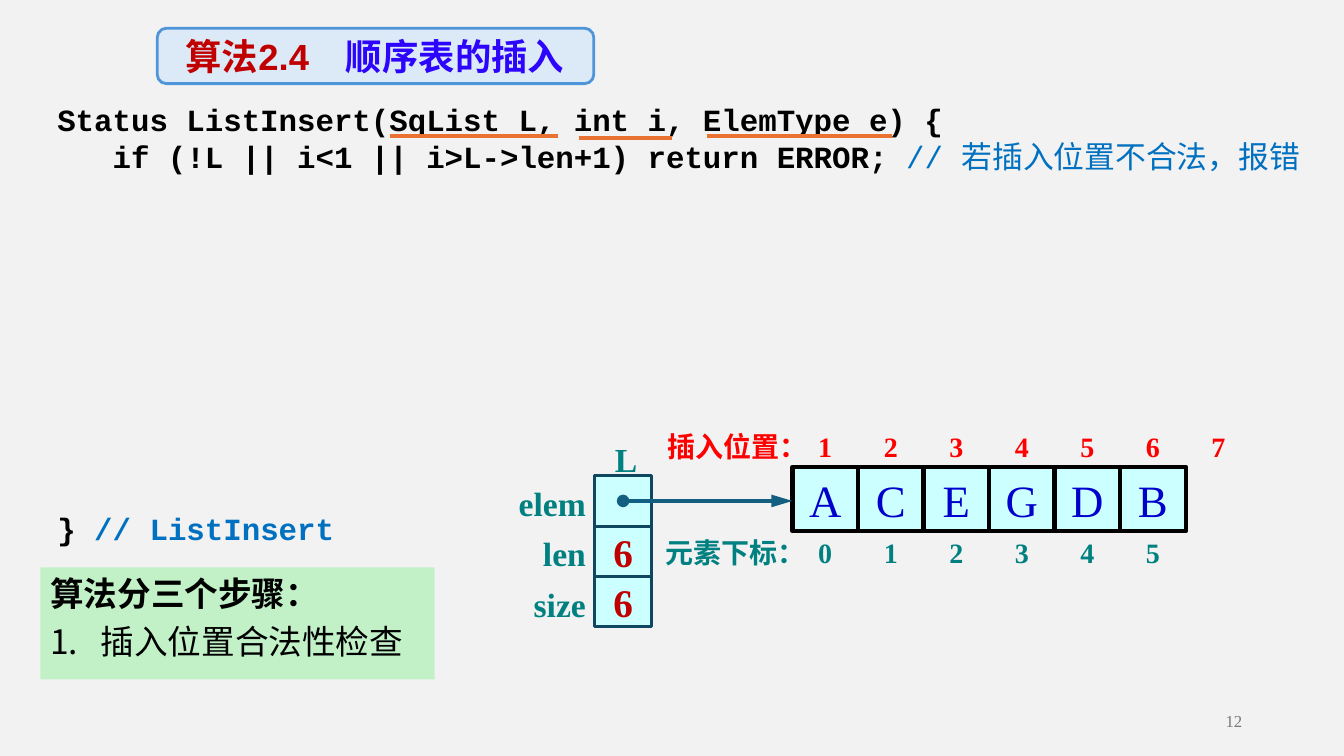
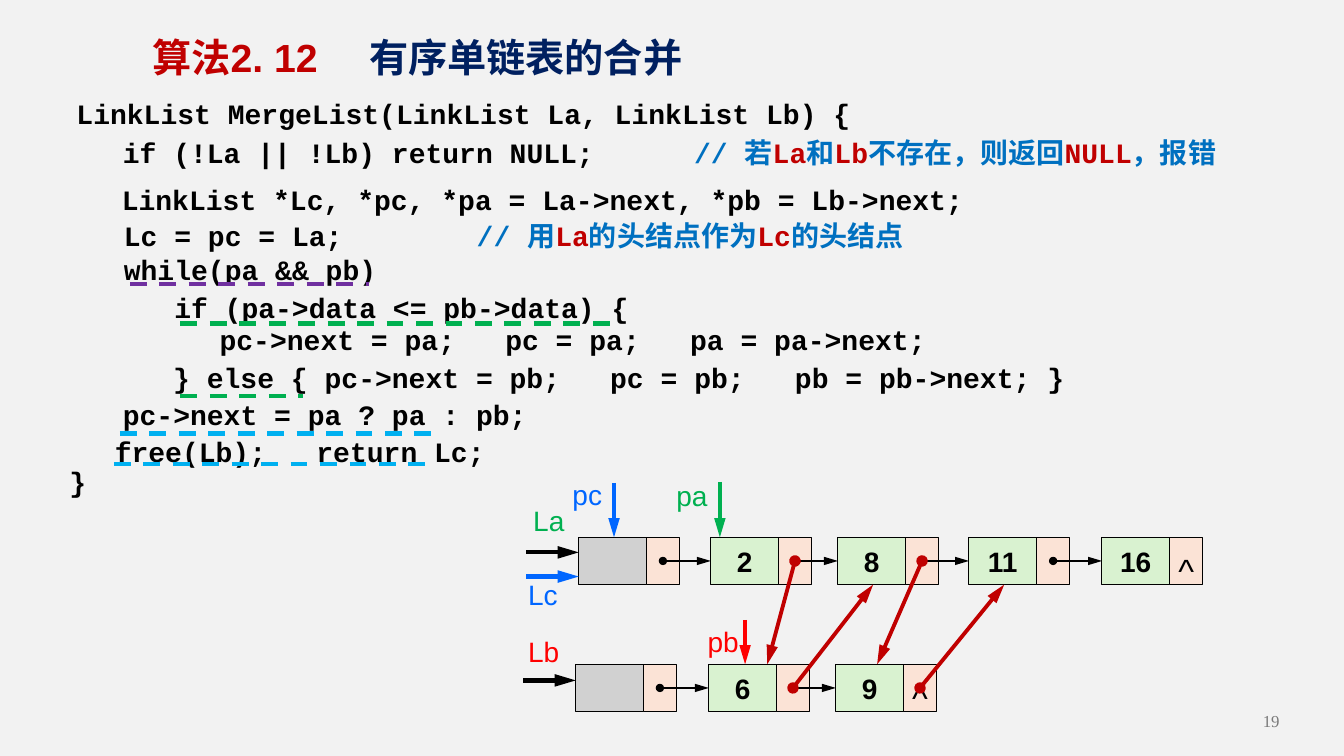
from dataclasses import dataclass

import pptx
import pptx.dml.color
import pptx.enum.dml
import pptx.enum.shapes
import pptx.enum.text
import pptx.oxml.ns
import pptx.util
from lxml import etree

ALIGN = pptx.enum.text.PP_ALIGN
ANCHOR = pptx.enum.text.MSO_ANCHOR
SHAPE = pptx.enum.shapes.MSO_SHAPE

# The grid: square cells of a tenth of an inch
COLS, ROWS = 133.3, 75
CHAR_WIDTH = 0.6  # Courier New advance, as a share of the type size


@dataclass(frozen=True)
class Theme:
    background: str = "F2F2F2"
    black: str = "000000"
    red: str = "C00000"
    bright_red: str = "FF0000"
    green: str = "00B050"
    blue: str = "0066FF"
    sky: str = "00B0F0"
    purple: str = "7030A0"
    orange: str = "E97132"
    comment: str = "0070C0"
    teal: str = "008080"
    navy: str = "002060"
    violet: str = "2D04FC"
    page: str = "797979"
    element: str = "0000CC"
    cyan_fill: str = "CCFFFF"
    struct_line: str = "104760"
    struct_arrow: str = "125F82"
    banner_fill: str = "DCEAF7"
    banner_line: str = "4E95D9"
    steps_fill: str = "C2F1C8"
    data_fill: str = "D9F2D0"
    next_fill: str = "FBE3D6"
    head_fill: str = "D1D1D1"
    sans: str = "Arial"
    serif: str = "Times New Roman"
    mono: str = "Courier New"
    tiny: int = 12
    body: int = 20
    code: int = 22
    label: int = 24
    count: int = 28
    letter: int = 32


T = Theme()


def unit(cells):
    return pptx.util.Inches(cells / 10)


def rgb(colour):
    return pptx.dml.color.RGBColor.from_string(colour)


def add_xml(parent, tag, **attributes):
    return etree.SubElement(parent, pptx.oxml.ns.qn(tag), attributes)


# Text
def write(frame, *paragraphs, size=T.body, color=T.black, font=T.sans, bold=False,
          align=ALIGN.LEFT, anchor=ANCHOR.TOP, inset=(1, 0.5), gap=0, stops=()):
    """Each paragraph is a string or a list of (text, run overrides)."""
    frame.word_wrap = True
    frame.auto_size = pptx.enum.text.MSO_AUTO_SIZE.NONE
    frame.vertical_anchor = anchor
    frame.margin_left = frame.margin_right = unit(inset[0])
    frame.margin_top = frame.margin_bottom = unit(inset[1])
    for index, content in enumerate(paragraphs):
        paragraph = frame.add_paragraph() if index else frame.paragraphs[0]
        paragraph.alignment = align
        paragraph.space_before = pptx.util.Pt(gap if index else 0)
        if stops:
            tabs = add_xml(paragraph._p.get_or_add_pPr(), "a:tabLst")
            for stop in stops:
                add_xml(tabs, "a:tab", pos=str(unit(stop)), algn="l")
        runs = [(content, {})] if isinstance(content, str) else content
        for words, change in runs:
            run = paragraph.add_run()
            run.text = words
            run.font.size = pptx.util.Pt(size)
            run.font.name = font
            run.font.bold = change.get("bold", bold)
            run.font.color.rgb = rgb(change.get("color", color))


def text(slide, left, top, width, height, *paragraphs, **style):
    box = slide.shapes.add_textbox(*map(unit, (left, top, width, height)))
    write(box.text_frame, *paragraphs, **style)


def code(slide, left, top, *runs, size=T.body, gap=3):
    """One line of code; each tab leaves a gap of that many characters."""
    runs = [(run, {}) if isinstance(run, str) else run for run in runs]
    stops, column = [], 0
    for part in "".join(words for words, _ in runs).split("\t")[:-1]:
        column += len(part) + gap
        stops.append(column * CHAR_WIDTH * size / 7.2)
    text(slide, left, top, COLS - left - 1.5, 4.4, runs, size=size,
         font=T.mono, bold=True, stops=stops)


# Shapes and lines
def block(slide, left, top, width, height, fill, line=None, weight=0.75,
          words=(), kind=SHAPE.RECTANGLE, **style):
    shape = slide.shapes.add_shape(kind, *map(unit, (left, top, width, height)))
    shape.shadow.inherit = False
    shape.fill.solid()
    shape.fill.fore_color.rgb = rgb(fill)
    if line:
        shape.line.color.rgb = rgb(line)
        shape.line.width = pptx.util.Pt(weight)
    else:
        shape.line.fill.background()
    if words:
        write(shape.text_frame, *words, **style)
    return shape


def line(slide, start, end, color, weight=3, dash=False, dot=False, arrow=False):
    link = slide.shapes.add_connector(pptx.enum.shapes.MSO_CONNECTOR.STRAIGHT,
                                      *map(unit, (*start, *end)))
    link.line.color.rgb = rgb(color)
    link.line.width = pptx.util.Pt(weight)
    if dash:
        link.line.dash_style = pptx.enum.dml.MSO_LINE.DASH
    outline = link.line._get_or_add_ln()
    if dot:
        add_xml(outline, "a:headEnd", type="oval")
    if arrow:
        add_xml(outline, "a:tailEnd", type="triangle", w="med", len="lg")
    add_xml(link._element.spPr, "a:effectLst")


# Parts the slides share
def new_slide(deck):
    return deck.slides.add_slide(deck.slide_layouts.get_by_name("Title Only"))


def title(slide, left, top, width, height, number, topic, topic_color, size, stop):
    holder = slide.shapes.title
    holder.left, holder.top, holder.width, holder.height = map(
        unit, (left, top, width, height))
    write(holder.text_frame, [(number + "\t", {}), (topic, {"color": topic_color})],
          size=size, color=T.red, bold=True, anchor=ANCHOR.MIDDLE, stops=[stop])


def page_number(slide, right, number):
    text(slide, right - 30, 69.5, 30, 4, number, size=T.tiny, color=T.page,
         font=T.serif, align=ALIGN.RIGHT, anchor=ANCHOR.MIDDLE)


# Sequential list
def sequential_list(slide):
    left, top, pitch, height = 78.6, 46.3, 6.5, 6.4
    for index, letter in enumerate("ACEGDB"):
        block(slide, left + index * pitch, top, pitch, height, T.cyan_fill, T.black, 3,
              [letter], size=T.letter, color=T.element, font=T.serif,
              align=ALIGN.CENTER, anchor=ANCHOR.BOTTOM, inset=(0, 0.5))

    # Positions above the cells, subscripts below
    for caption, start, digits, row, color in (
            ("插入位置：", 65.2, "1234567", 42.1, T.bright_red),
            ("元素下标：", 65, "012345", 52.6, T.teal)):
        style = dict(color=color, font=T.serif, bold=True, anchor=ANCHOR.MIDDLE)
        text(slide, start, row, 16, 4.4, caption, **style)
        for index, digit in enumerate(digits):
            text(slide, left + index * pitch, row, pitch, 4.4, digit,
                 align=ALIGN.CENTER, **style)

    # Fields of the structure
    style = dict(size=T.label, color=T.teal, font=T.serif, bold=True,
                 align=ALIGN.RIGHT, anchor=ANCHOR.MIDDLE)
    text(slide, 59, 43, 5.2, 5, "L", **style)
    for index, (field, value) in enumerate((("elem", ""), ("len", "6"), ("size", "6"))):
        row = 47.2 + index * 5
        text(slide, 47.1, row + 0.2, 12, 5, field, **style)
        block(slide, 59, row, 5.6, 5, T.cyan_fill, T.struct_line, 2.25,
              [value] if value else (), size=T.count, color=T.red, font=T.serif,
              bold=True, align=ALIGN.CENTER, anchor=ANCHOR.MIDDLE, inset=(0, 0))
    line(slide, (61.8, 49.7), (left, 49.7), T.struct_arrow, dot=True, arrow=True)


def steps(slide):
    panel = block(slide, 4, 56.3, 39.1, 11.1, T.steps_fill, None, 0,
                  ["算法分三个步骤：", [("插入位置合法性检查", {"bold": False})]],
                  size=T.label, font=T.serif, bold=True, gap=6)
    numbered = panel.text_frame.paragraphs[1]._p.get_or_add_pPr()
    numbered.set("marL", str(unit(5)))
    numbered.set("indent", str(unit(-5)))
    add_xml(numbered, "a:buFont", typeface="+mj-lt")
    add_xml(numbered, "a:buAutoNum", type="arabicPeriod")


def insert_slide(deck):
    slide = new_slide(deck)
    page_number(slide, 124.2, "12")
    note = {"color": T.comment}
    text(slide, 4.7, 9.5, 127.1, 9,
         "Status ListInsert(SqList L, int i, ElemType e) {",
         [("   if (!L || i<1 || i>L->len+1) return ERROR; ", {}),
          ("// 若插入位置不合法，报错", {"color": T.comment, "bold": False})],
         size=T.code, font=T.mono, bold=True)
    code(slide, 4.7, 50.1, "} ", ("// ListInsert", note), size=T.code)
    sequential_list(slide)
    steps(slide)
    banner = (15.6, 2.8, 43.3, 5.5)
    block(slide, *banner, T.banner_fill, T.banner_line, 2, kind=SHAPE.ROUNDED_RECTANGLE)
    title(slide, 17.4, 2.8, 41.5, 5.5, "算法2.4", "顺序表的插入", T.violet, 26, 15.9)
    # The title lies over its banner
    slide.shapes._spTree.append(slide.shapes.title._element)
    for left, right, row in ((38.7, 55.3, 13.5), (57.4, 66.7, 13.7), (70.1, 88.5, 13.5)):
        line(slide, (left, row), (right, row), T.orange)


# Linked lists
DATA_WIDTH, NEXT_WIDTH, NODE_HEIGHT = 6.7, 3.3, 4.7


def pointer(left, top):
    """The middle of a node's next field."""
    return left + DATA_WIDTH + NEXT_WIDTH / 2, top + NODE_HEIGHT / 2


def linked_list(slide, top, lefts, values):
    middle = dict(align=ALIGN.CENTER, anchor=ANCHOR.MIDDLE)
    for left, value in zip(lefts, values):
        block(slide, left, top, DATA_WIDTH, NODE_HEIGHT,
              T.data_fill if value else T.head_fill, T.black,
              words=[value] if value else (), bold=True, **middle)
        block(slide, left + DATA_WIDTH, top, NEXT_WIDTH, NODE_HEIGHT,
              T.next_fill, T.black)
    for left, following in zip(lefts, lefts[1:]):
        x, y = pointer(left, top)
        line(slide, (x, y), (following, y), T.black, 1.5, dot=True, arrow=True)
    text(slide, lefts[-1] + DATA_WIDTH, top + 0.9, NEXT_WIDTH, NODE_HEIGHT, "^",
         size=T.label, inset=(0, 0), **middle)


def merge_code(slide):
    note, name = {"color": T.comment}, {"color": T.red}
    code(slide, 6.6, 9.1, "LinkList MergeList(LinkList La, LinkList Lb) {")
    code(slide, 11.2, 13, "if (!La || !Lb) return NULL;\t", ("// 若", note),
         ("La", name), ("和", note), ("Lb", name), ("不存在，则返回", note),
         ("NULL", name), ("，报错", note), gap=6)
    code(slide, 11.3, 21.2, "Lc = pc = La;\t", ("// 用", note), ("La", name),
         ("的头结点作为", note), ("Lc", name), ("的头结点", note), gap=8)
    for left, top, words in (
            (11.1, 17.6, "LinkList *Lc, *pc, *pa = La->next, *pb = Lb->next;"),
            (11.3, 24.6, "while(pa && pb)"),
            (16.3, 28.3, "if (pa->data <= pb->data) {"),
            (20.8, 31.5, "pc->next = pa;\tpc = pa;\tpa = pa->next;"),
            (16.2, 35.3, "} else { pc->next = pb;\tpc = pb;\tpb = pb->next; }"),
            (11.2, 38.9, "pc->next = pa ? pa : pb;"),
            (10.4, 42.6, "free(Lb);\treturn Lc;"),
            (5.9, 45.6, "}")):
        code(slide, left, top, words)
    for left, right, row, color in (
            (12.9, 36.6, 28.2, T.purple), (17.9, 61.6, 32.1, T.green),
            (17.9, 30.1, 39.3, T.green), (11.9, 43.3, 43, T.sky),
            (11.3, 42.7, 46, T.sky)):
        line(slide, (left, row), (right, row), color, dash=True)


def merge_slide(deck):
    slide = new_slide(deck)
    title(slide, 14.1, 3.1, 56.4, 5, "算法2. 12", "有序单链表的合并", T.navy, 28, 21.5)
    merge_code(slide)

    la_top, la = 53.3, (57.4, 70.5, 83.1, 96.1, 109.3)
    lb_top, lb = 65.9, (57.1, 70.3, 82.9)
    linked_list(slide, la_top, la, ("", "2", "8", "11", "16"))
    linked_list(slide, lb_top, lb, ("", "6", "9"))

    # Names and the arrows that go with them
    for left, top, name, color in (
            (66.1, 47, "pa", T.green), (55.8, 46.9, "pc", T.blue),
            (69.2, 61.5, "pb", T.bright_red), (51.9, 49.5, "La", T.green),
            (51.4, 56.8, "Lc", T.blue), (51.4, 62.5, "Lb", T.bright_red)):
        text(slide, left, top, 6, 4.4, name, color=color)
    for x, start, end, color in ((71.4, 47.8, la_top, T.green),
                                 (60.9, 47.9, la_top, T.blue),
                                 (73.9, 61.5, lb_top, T.bright_red)):
        line(slide, (x, start), (x, end), color, 2.75, arrow=True)
    for end, row, color in ((la[0], 54.8, T.black), (la[0], 57.2, T.blue),
                            (lb[0], 67.5, T.black)):
        line(slide, (end - 5.2, row), (end, row), color, arrow=True)

    # Relinked pointers of the merged list
    la_bottom = la_top + NODE_HEIGHT
    for left, top, end in ((la[1], la_top, (76.1, lb_top)),
                           (lb[1], lb_top, (86.6, la_bottom)),
                           (la[2], la_top, (87, lb_top)),
                           (lb[2], lb_top, (99.6, la_bottom))):
        line(slide, pointer(left, top), end, T.red, 2.75, dot=True, arrow=True)
    page_number(slide, 127.9, "19")


def main():
    deck = pptx.Presentation()
    deck.slide_width, deck.slide_height = unit(COLS), unit(ROWS)
    background = deck.slide_master.background.fill
    background.solid()
    background.fore_color.rgb = rgb(T.background)
    insert_slide(deck)
    merge_slide(deck)
    deck.save("out.pptx")


if __name__ == "__main__":
    main()
